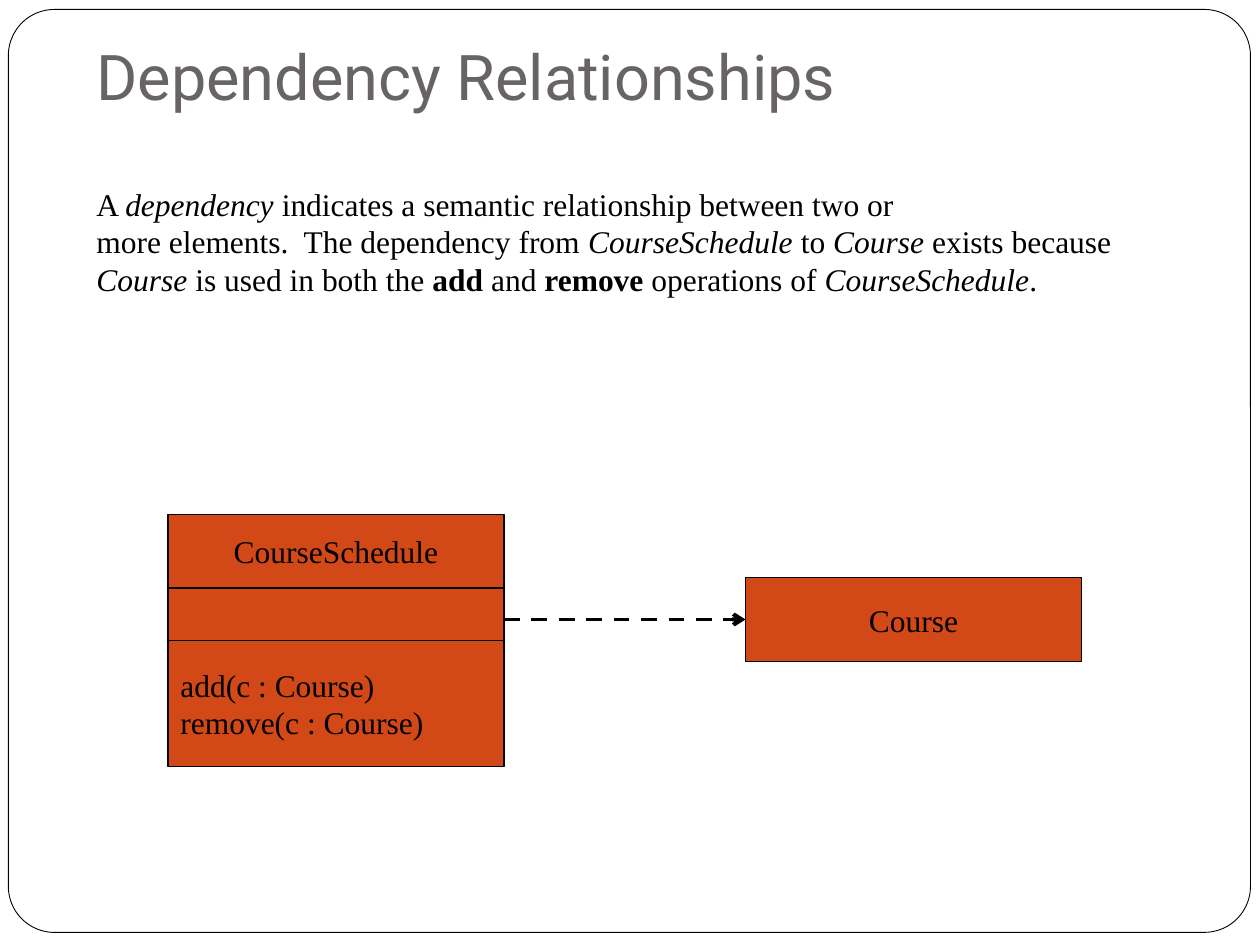
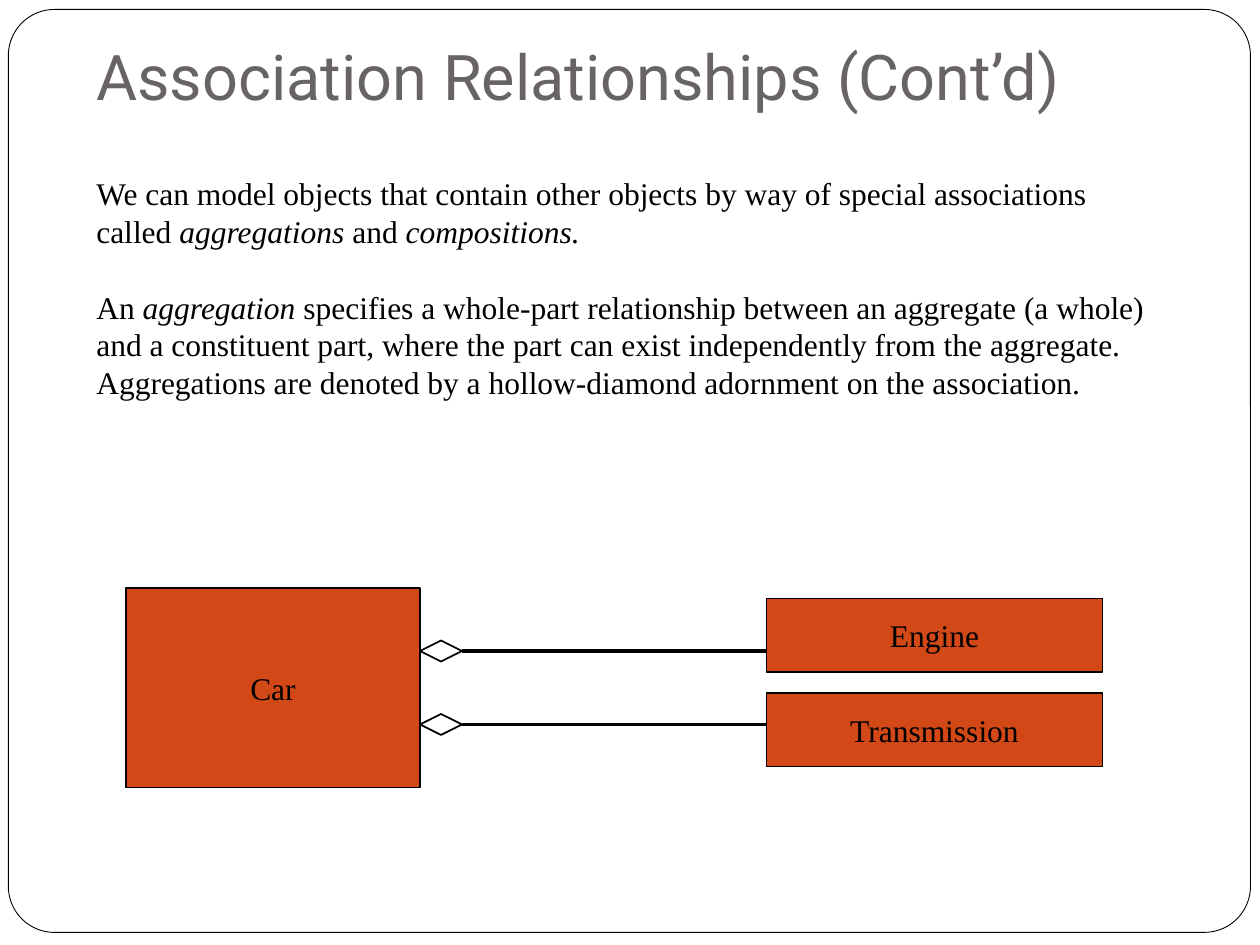
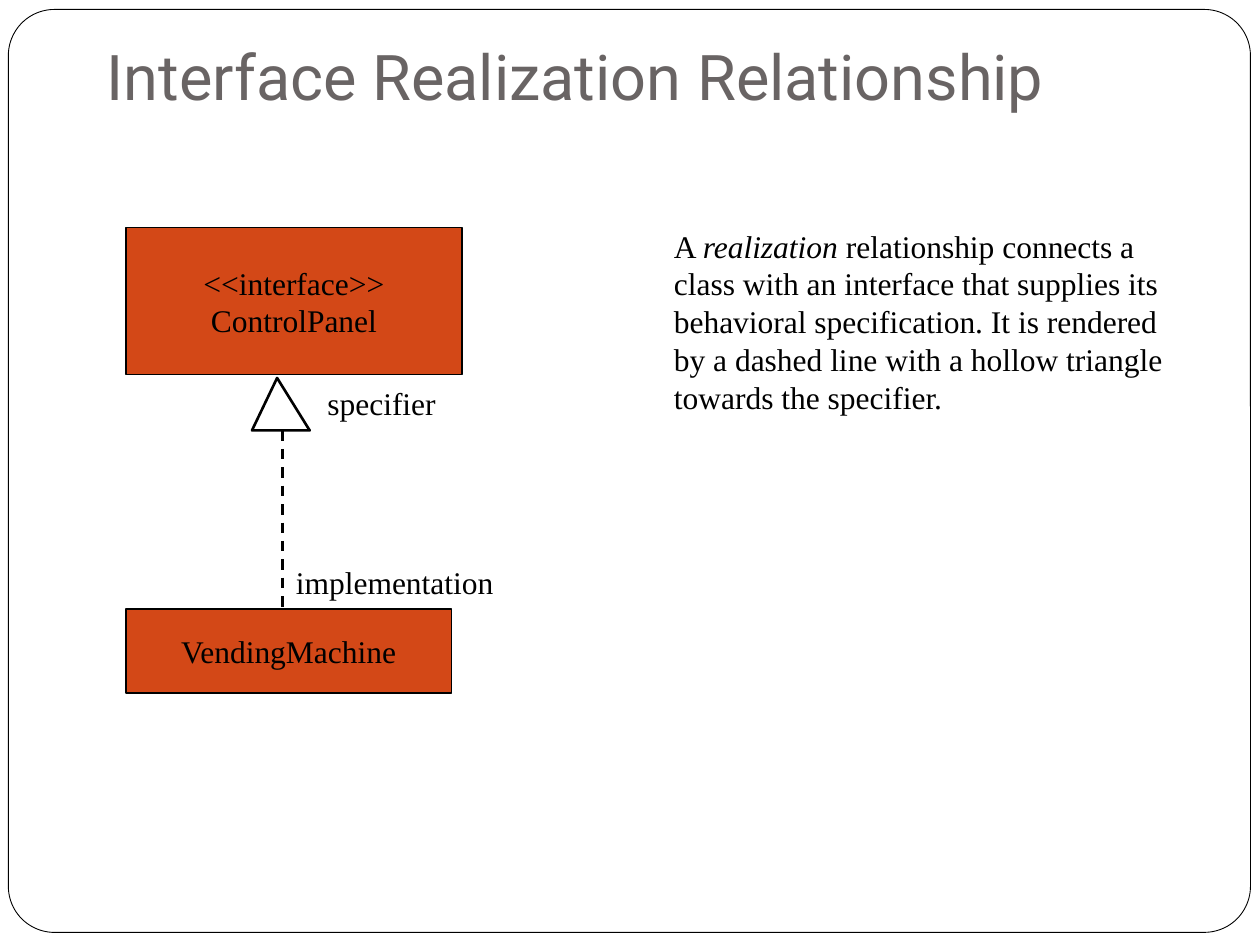
import pptx
import pptx.util
import pptx.dml.color
import pptx.enum.dml
import pptx.enum.shapes
import pptx.enum.text
import pptx.oxml
import pptx.oxml.ns

RGB = pptx.dml.color.RGBColor
BLACK = RGB(0x00, 0x00, 0x00)
WHITE = RGB(0xFF, 0xFF, 0xFF)
GREY = RGB(0x69, 0x64, 0x64)
RUST = RGB(0xD3, 0x48, 0x17)

PX = 7620  # EMU in one px, 120 px to the inch
HEAD = "Roboto"
BODY = "Times New Roman"
ALIGN = pptx.enum.text.PP_ALIGN
ANCHOR = pptx.enum.text.MSO_ANCHOR
KIND = pptx.enum.shapes.MSO_SHAPE
DASH = pptx.enum.dml.MSO_LINE.DASH


def emu(*nums):
    return [pptx.util.Emu(num * PX) for num in nums]


def write(frame, text, size=18, font=BODY, color=BLACK, align=ALIGN.LEFT,
          anchor=ANCHOR.TOP, gap=0, foot=6):
    """Fill a frame: a list of paragraphs, *italic* and #bold# inside them."""
    frame.word_wrap = True
    frame.vertical_anchor = anchor
    frame.margin_left, frame.margin_top, frame.margin_right, frame.margin_bottom = \
        emu(12, 6, 12, foot)
    for row, line in enumerate(text):
        para = frame.add_paragraph() if row else frame.paragraphs[0]
        para.alignment = align
        if row and gap:
            para.space_before = pptx.util.Pt(gap)
        for i, part in enumerate(line.split("*")):
            for j, piece in enumerate(part.split("#")):
                if not piece:
                    continue
                run = para.add_run()
                run.text = piece
                run.font.size = pptx.util.Pt(size)
                run.font.name = font
                run.font.color.rgb = color
                run.font.italic = i % 2 == 1
                run.font.bold = j % 2 == 1


class Deck:
    def __init__(self):
        self.prs = pptx.Presentation()
        self.prs.slide_width, self.prs.slide_height = emu(1200, 900)
        self.shapes = None

    def slide(self, title, left=80, width=1060):
        """Start a slide with its rounded frame and title."""
        self.shapes = self.prs.slides.add_slide(self.prs.slide_layouts[6]).shapes
        edge = self.shapes.add_shape(KIND.ROUNDED_RECTANGLE, *emu(8, 9, 1183, 879))
        edge.adjustments[0] = 0.05
        self.paint(edge, WHITE, 0.5)
        self.text(left, 50, width, 70, [title], size=36, font=HEAD, color=GREY,
                  anchor=ANCHOR.BOTTOM, foot=12)

    def paint(self, shape, fill, weight):
        shape.shadow.inherit = False
        shape.fill.solid()
        shape.fill.fore_color.rgb = fill
        shape.line.color.rgb = BLACK
        shape.line.width = pptx.util.Pt(weight)

    def text(self, x, y, w, h, text, **style):
        write(self.shapes.add_textbox(*emu(x, y, w, h)).text_frame, text, **style)

    def box(self, x, y, w, h, *text, align=ALIGN.CENTER):
        shape = self.shapes.add_shape(KIND.RECTANGLE, *emu(x, y, w, h))
        self.paint(shape, RUST, 0.75)
        write(shape.text_frame, text, align=align, anchor=ANCHOR.MIDDLE)
        return shape

    def line(self, x1, y1, x2, y2, weight=2.25, dash=None, arrow=False):
        link = self.shapes.add_connector(
            pptx.enum.shapes.MSO_CONNECTOR.STRAIGHT, *emu(x1, y1, x2, y2))
        link.line.color.rgb = BLACK
        link.line.width = pptx.util.Pt(weight)
        if dash:
            link.line.dash_style = dash
        space = pptx.oxml.ns.nsdecls("a")
        if arrow:
            link.line._get_or_add_ln().append(
                pptx.oxml.parse_xml(f'<a:tailEnd {space} type="arrow"/>'))
        link._element.spPr.append(pptx.oxml.parse_xml(f"<a:effectLst {space}/>"))
        return link

    def outline(self, points, weight):
        build = self.shapes.build_freeform(*points[0], scale=PX)
        build.add_line_segments(points[1:], close=True)
        self.paint(build.convert_to_shape(), WHITE, weight)


def depend(deck):
    deck.slide("Dependency Relationships", width=1030)

    # Class with three compartments
    deck.box(160, 490, 320, 70, "CourseSchedule")
    deck.box(160, 560, 320, 50)
    deck.box(160, 610, 320, 120, "add(c : Course)", "remove(c : Course)",
             align=ALIGN.LEFT)

    # Dashed arrow to the class it uses
    course = deck.box(710, 550, 320, 80, "Course")
    arrow = deck.line(480, 590, 710, 590, dash=DASH, arrow=True)
    arrow.end_connect(course, 1)

    deck.text(80, 170, 1064, 252, [
        "A *dependency* indicates a semantic relationship between two or",
        "more elements.  The dependency from *CourseSchedule* to *Course* exists "
        "because *Course* is used in both the #add# and #remove# operations of "
        "*CourseSchedule*."])


def contain(deck):
    deck.slide("Association Relationships (Cont’d)")
    deck.text(80, 160, 1030, 348, [
        "We can model objects that contain other objects by way of special "
        "associations called *aggregations* and *compositions.*",
        "An *aggregation* specifies a whole-part relationship between an aggregate "
        "(a whole) and a constituent part, where the part can exist independently "
        "from the aggregate. Aggregations are denoted by a hollow-diamond "
        "adornment on the association."], gap=21.6)

    # Whole, and its parts with hollow diamonds
    deck.box(120, 560, 280, 190, "Car")
    for name, top, mid in (("Engine", 570, 620), ("Transmission", 660, 690)):
        deck.box(730, top, 320, 70, name)
        deck.line(440, mid, 730, mid)
        deck.outline([(400, mid), (420, mid - 10), (440, mid), (420, mid + 10)], 1)


def realize(deck):
    deck.slide("Interface Realization Relationship", left=90)

    # Interface and the class behind it
    deck.box(120, 217, 320, 140, "<<interface>>", "ControlPanel")
    deck.box(120, 580, 310, 80, "VendingMachine")

    # Dashed line with a hollow triangle
    deck.line(269, 410, 269, 580, weight=1.5, dash=DASH)
    deck.outline([(264, 360), (240, 410), (295, 410)], 1.5)

    deck.text(630, 210, 520, 348, [
        "A *realization* relationship connects a class with an interface that "
        "supplies its behavioral specification. It is rendered by a dashed line "
        "with a hollow triangle towards the specifier."])
    deck.text(300, 360, 200, 48, ["specifier"])
    deck.text(270, 530, 270, 48, ["implementation"])


def main():
    deck = Deck()
    for make in (depend, contain, realize):
        make(deck)
    deck.prs.save("out.pptx")


if __name__ == "__main__":
    main()
